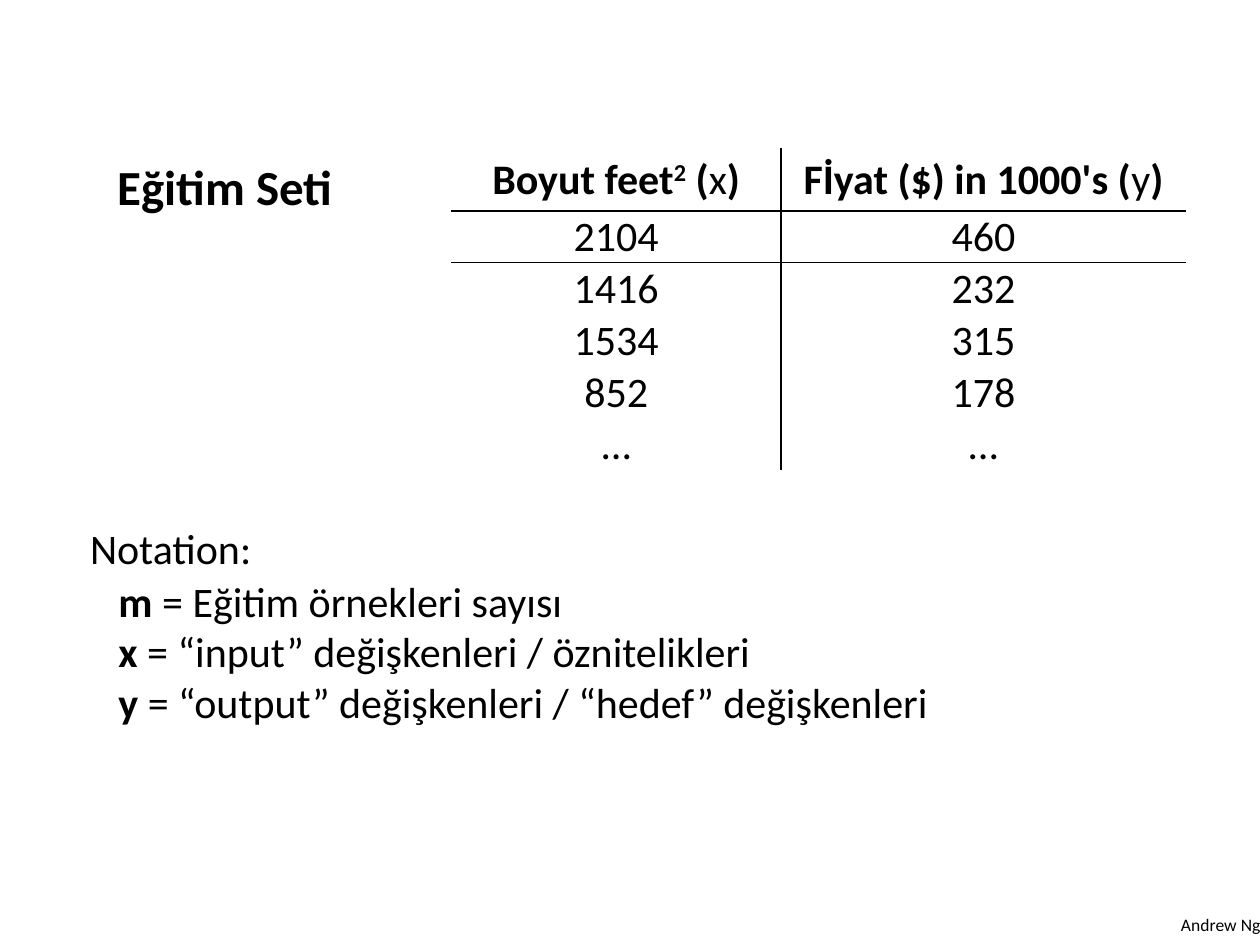
from lxml.etree import SubElement
from pptx import Presentation
from pptx.dml.color import RGBColor
from pptx.enum.text import MSO_ANCHOR as Anchor, MSO_AUTO_SIZE as AutoSize, PP_ALIGN as Align
from pptx.oxml.ns import qn
from pptx.util import Pt

BLACK = RGBColor(0, 0, 0)
FONT = "Calibri"

# Runs are (text, format) pairs
BOLD, PLAIN = {"bold": True}, {"bold": False}
TITLE = [("Eğitim Seti", BOLD)]
FOOTER = [("Andrew Ng", PLAIN)]
HEADERS = [
    [("Boyut feet", BOLD), ("2", {"bold": True, "raised": True}),
     (" (", BOLD), ("x", PLAIN), (")", BOLD)],
    [("Fİyat ($) in 1000's (", BOLD), ("y", PLAIN), (")", BOLD)],
]
HOUSES = [("2104", "460"), ("1416", "232"), ("1534", "315"), ("852", "178"), ("…", "…")]
NOTATION_HEAD = "Notation:"
NOTATION = [
    ("m", " = Eğitim örnekleri sayısı"),
    ("x", " = “input” değişkenleri / öznitelikleri"),
    ("y", " = “output” değişkenleri / “hedef” değişkenleri"),
]

TABLE_LEFT, TABLE_TOP = 193.5, 63.3
COLUMN_WIDTHS = [141.2, 173.6]
HEADER_HEIGHT, ROW_HEIGHT = 27, 22
RULED_ROWS = (0, 1)  # rows with a line below
NOTATION_INDENT = 12.2


def add_runs(p, runs, size):
    for text, fmt in runs:
        r = p.add_run()
        r.text = text
        values = {"name": FONT, "size": Pt(size), "bold": fmt["bold"]}
        for name, value in values.items():
            setattr(r.font, name, value)
        r.font.color.rgb = BLACK
        if fmt.get("raised"):
            r.font._element.set("baseline", "30000")


def add_text(s, box, lines, size, wrap=False, align=Align.LEFT):
    tf = s.shapes.add_textbox(*map(Pt, box)).text_frame
    tf.word_wrap = wrap
    tf.auto_size = AutoSize.SHAPE_TO_FIT_TEXT
    for i, runs in enumerate(lines):
        p = tf.add_paragraph() if i else tf.paragraphs[0]
        p.alignment = align
        add_runs(p, runs, size)
    return tf


def add_border(cell, side, visible):
    ln = SubElement(cell._tc.get_or_add_tcPr(), qn(f"a:ln{side}"), w=str(Pt(1)))
    if visible:
        fill = SubElement(ln, qn("a:solidFill"))
        SubElement(fill, qn("a:srgbClr"), val=str(BLACK))
    else:
        SubElement(ln, qn("a:noFill"))


def add_price_table(s):
    rows = [HEADERS] + [[[(value, PLAIN)] for value in house] for house in HOUSES]
    heights = [HEADER_HEIGHT] + [ROW_HEIGHT] * len(HOUSES)
    box = TABLE_LEFT, TABLE_TOP, sum(COLUMN_WIDTHS), sum(heights)
    table = s.shapes.add_table(len(rows), len(COLUMN_WIDTHS), *map(Pt, box)).table
    table.first_row = table.horz_banding = False
    for column, width in zip(table.columns, COLUMN_WIDTHS):
        column.width = Pt(width)
    for i, (row, height) in enumerate(zip(rows, heights)):
        table.rows[i].height = Pt(height)
        for j, runs in enumerate(row):
            cell = table.cell(i, j)
            borders = {"L": j == 1, "R": j == 0,
                       "T": i - 1 in RULED_ROWS, "B": i in RULED_ROWS}
            for side, visible in borders.items():
                add_border(cell, side, visible)
            cell.fill.background()
            values = {"margin_left": Pt(0.6), "margin_right": Pt(0.6),
                      "margin_top": Pt(0.6), "margin_bottom": 0,
                      "vertical_anchor": Anchor.BOTTOM if i else Anchor.MIDDLE}
            for name, value in values.items():
                setattr(cell, name, value)
            p = cell.text_frame.paragraphs[0]
            p.alignment = Align.CENTER
            add_runs(p, runs, 18)


def add_notation(s):
    lines = [[(NOTATION_HEAD, PLAIN)]]
    lines += [[(symbol, BOLD), (meaning, PLAIN)] for symbol, meaning in NOTATION]
    tf = add_text(s, (31.5, 220.3, 378, 95.8), lines, 18, wrap=True)
    for p in tf.paragraphs[1:]:
        p._p.get_or_add_pPr().set("marL", str(Pt(NOTATION_INDENT)))
    tf.paragraphs[1].space_before = Pt(1.2)


def main():
    prs = Presentation()
    prs.slide_width, prs.slide_height = Pt(540), Pt(405)
    s = prs.slides.add_slide(prs.slide_layouts[6])
    add_text(s, (499, 388, 49, 16.6), [FOOTER], 7.5)
    add_notation(s)
    add_price_table(s)
    add_text(s, (42.5, 63.4, 108, 32.4), [TITLE], 21, align=Align.CENTER)
    prs.save("out.pptx")


if __name__ == "__main__":
    main()
